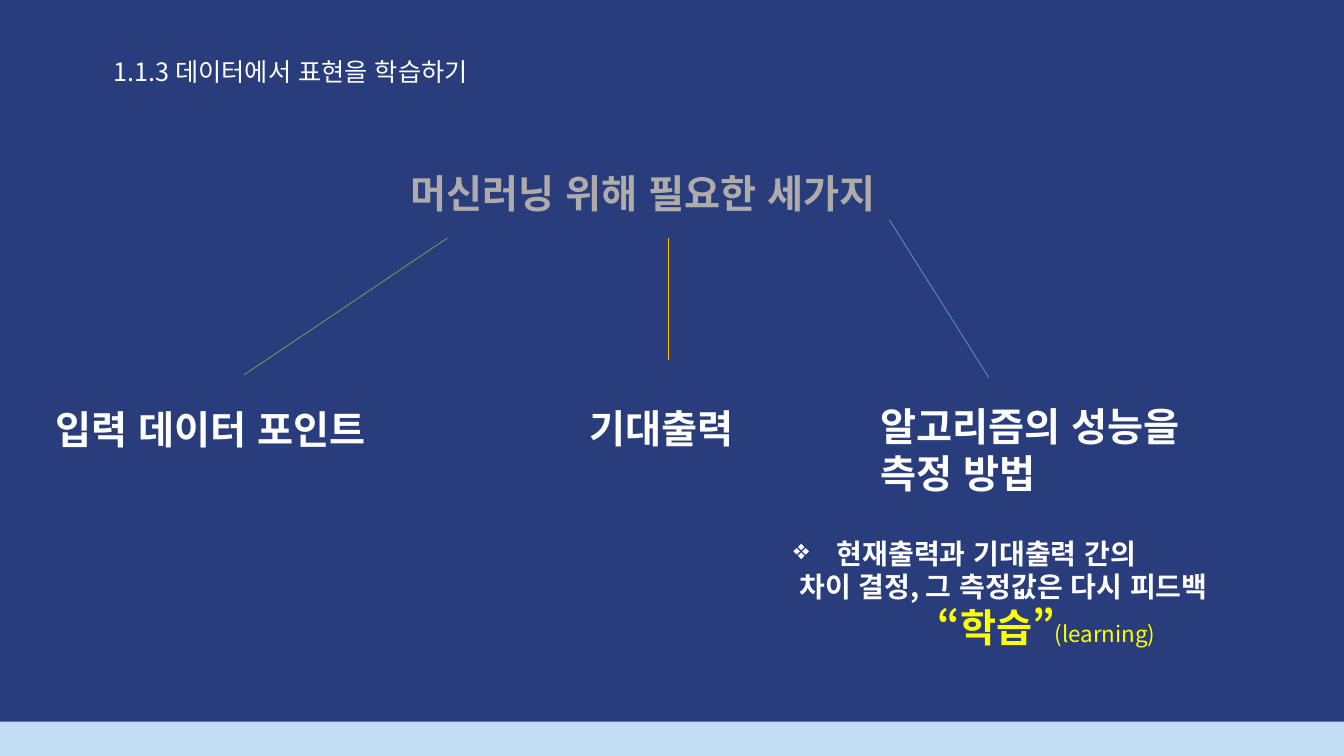
from lxml import etree
from pptx import Presentation, util as u
from pptx.dml.color import RGBColor
from pptx.enum import lang, shapes, text
from pptx.oxml import ns

PX = 9144
WHITE = "FFFFFF"
YELLOW = "FFFF00"


def color(value):
    return RGBColor.from_string(value)


class SlideBuilder:
    font_name = "Noto Sans CJK KR"

    def __init__(self, presentation, background):
        self.slide = presentation.slides.add_slide(presentation.slide_layouts[6])
        fill = self.slide.background.fill
        fill.solid()
        fill.fore_color.rgb = color(background)

    def bar(self, left, top, width, height, fill):
        shape = self.slide.shapes.add_shape(
            shapes.MSO_SHAPE.RECTANGLE, left * PX, top * PX, width * PX, height * PX)
        shape.shadow.inherit = False
        shape.fill.solid()
        shape.fill.fore_color.rgb = color(fill)
        shape.line.fill.background()

    def run(self, paragraph, content, size, fill=WHITE, bold=True):
        run = paragraph.add_run()
        run.text = content
        font = run.font
        font.size = u.Pt(size)
        font.bold = bold
        font.name = self.font_name
        font.language_id = lang.MSO_LANGUAGE_ID.KOREAN
        font.color.rgb = color(fill)
        east_asian = etree.SubElement(font._element, ns.qn("a:ea"))
        east_asian.set("typeface", self.font_name)

    def indent(self, paragraph, left, bullet=None):
        properties = paragraph._p.get_or_add_pPr()
        properties.set("marL", str(left * PX))
        if bullet:
            properties.set("indent", str(-left * PX))
            etree.SubElement(properties, ns.qn("a:buChar")).set("char", bullet)

    def textbox(self, left, top, width, height, paragraphs):
        frame = self.slide.shapes.add_textbox(
            left * PX, top * PX, width * PX, height * PX).text_frame
        frame.word_wrap = True
        frame.auto_size = text.MSO_AUTO_SIZE.SHAPE_TO_FIT_TEXT
        for index, runs in enumerate(paragraphs):
            paragraph = frame.add_paragraph() if index else frame.paragraphs[0]
            for run in runs:
                self.run(paragraph, *run)
        return frame.paragraphs

    def line(self, start, end, stroke):
        connector = self.slide.shapes.add_connector(
            shapes.MSO_CONNECTOR.STRAIGHT, *(value * PX for value in start + end))
        connector.line.color.rgb = color(stroke)
        connector.line.width = u.Pt(0.5)
        etree.SubElement(connector._element.spPr, ns.qn("a:effectLst"))


def main():
    presentation = Presentation()
    presentation.slide_width = 1333 * PX
    presentation.slide_height = 750 * PX
    builder = SlideBuilder(presentation, "293D7C")

    builder.bar(-7, 716, 1340, 34, "C3DDF4")
    builder.textbox(103, 51, 416, 40, [[("1.1.3 데이터에서 표현을 학습하기", 18, WHITE, False)]])
    builder.textbox(397, 163, 533, 57, [[("머신러닝 위해 필요한 세가지", 28, "AFABAB")]])

    for left, top, width, height, lines in (
        (45, 397, 362, 57, ["입력 데이터 포인트"]),
        (575, 396, 177, 57, ["기대출력"]),
        (863, 394, 362, 104, ["알고리즘의 성능을", "측정 방법"]),
    ):
        builder.textbox(left, top, width, height, [[(content, 28)] for content in lines])

    finding, feedback, learning = builder.textbox(777, 527, 496, 123, [
        [("현재출력과 기대출력 간의", 20)],
        [("차이 결정, 그 측정값은 다시 피드백", 20)],
        [("“학습”", 28, YELLOW), ("(learning)", 16, YELLOW, False)],
    ])
    builder.indent(finding, 43, "❖")
    builder.indent(feedback, 6)
    builder.indent(learning, 143)

    for start, end, stroke in (
        ((242, 372), (444, 236), "70AD47"),
        ((663, 357), (663, 236), "FFC000"),
        ((981, 375), (882, 218), "5B9BD5"),
    ):
        builder.line(start, end, stroke)

    presentation.save("out.pptx")


if __name__ == "__main__":
    main()
